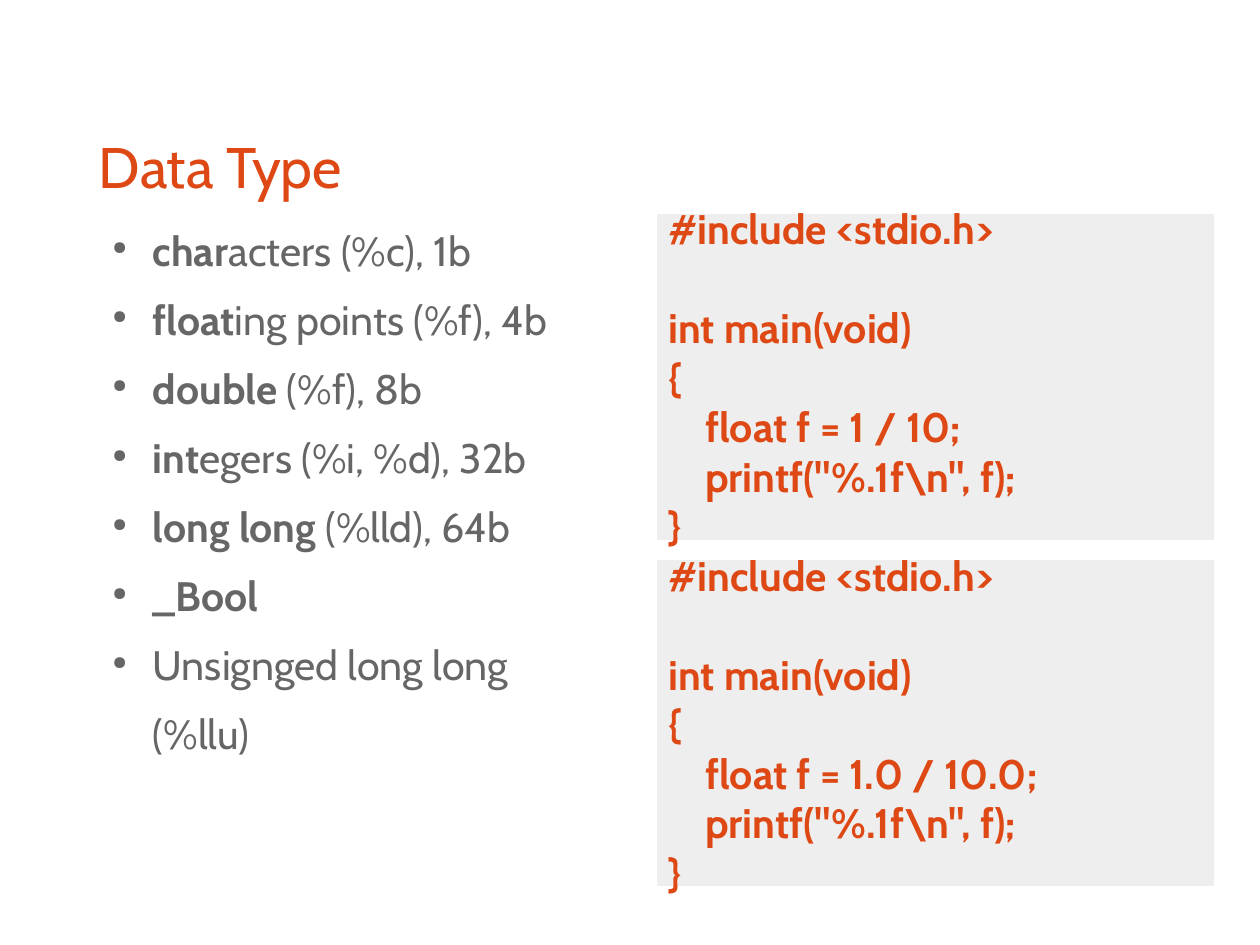
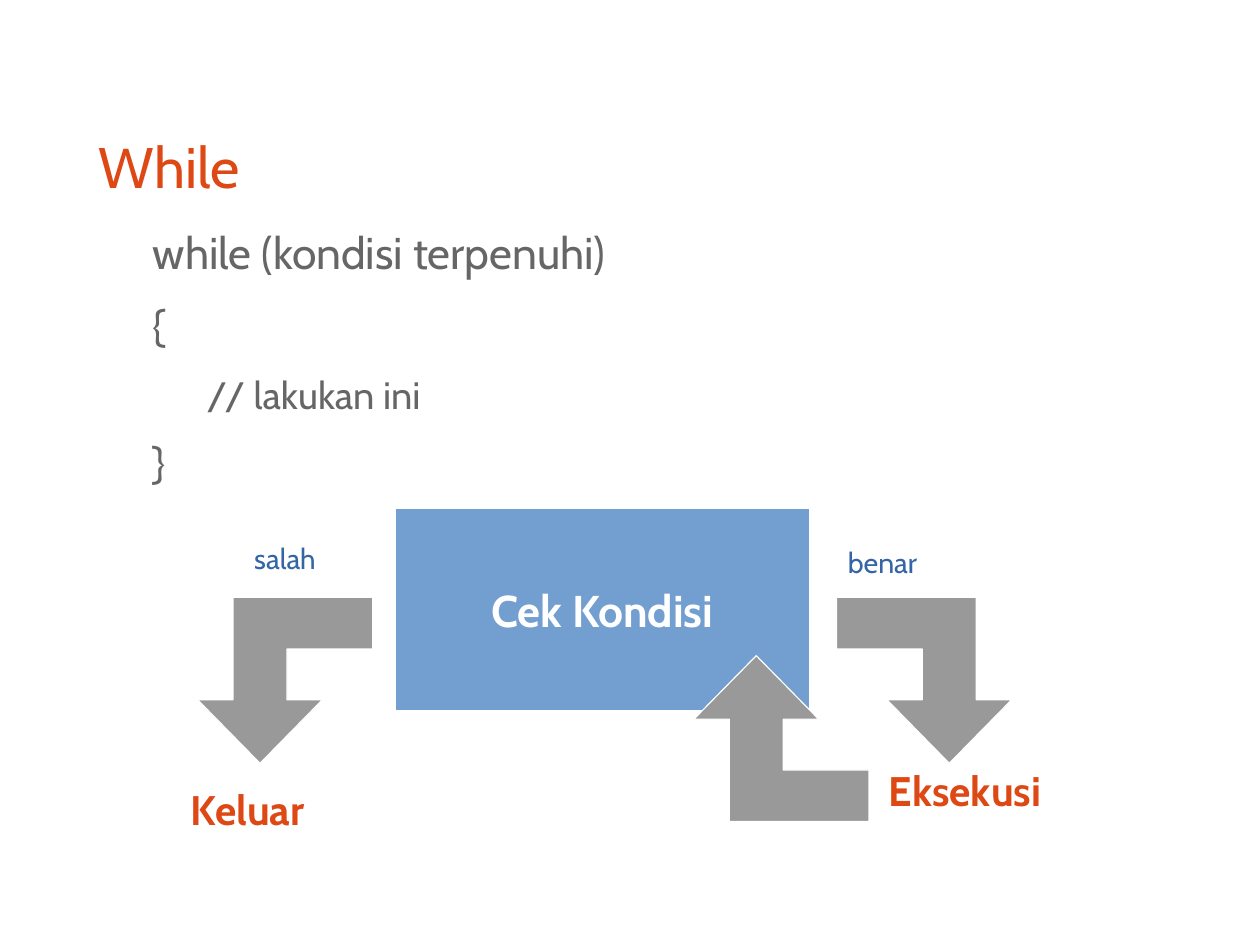
from lxml.etree import SubElement
from pptx import Presentation
from pptx.dml.color import RGBColor
from pptx.enum.shapes import MSO_SHAPE
from pptx.enum.text import MSO_ANCHOR as Anchor, PP_ALIGN as Align
from pptx.oxml.ns import qn
from pptx.util import Pt

FONT = "Cabin"
ORANGE = RGBColor(0xDD, 0x48, 0x14)
GRAY = RGBColor(0x66, 0x66, 0x66)
ARROW_GRAY = RGBColor(0x99, 0x99, 0x99)
PANEL_GRAY = RGBColor(0xEE, 0xEE, 0xEE)
BOX_BLUE = RGBColor(0x72, 0x9F, 0xCF)
LABEL_BLUE = RGBColor(0x34, 0x65, 0xA4)
WHITE = RGBColor(0xFF, 0xFF, 0xFF)

SLIDE_WIDTH = 793.7
SLIDE_HEIGHT = 595.28
LEFT = 62.3
BODY_WIDTH = 666
TEXT_INDENT = 34
BULLET_HANG = 25.5
CODE_SIZE = 26
CODE_LINE = 31.2
CODE_INDENT = 23.3

ARROW_OUTLINE = [(0, 0), (-39.3, -40), (-17, -40), (-17, -72), (-71, -72),
                 (-71, -104.5), (17, -104.5), (17, -40), (39.3, -40)]

TYPES = [("char", "acters (%c), 1b"), ("float", "ing points (%f), 4b"),
         ("double", " (%f), 8b"), ("int", "egers (%i, %d), 32b"),
         ("long long", " (%lld), 64b"), ("_Bool", ""),
         ("", "Unsignged long long")]


def style(paragraph, size, color, bold=False):
    for run in paragraph.runs:
        run.font.name = FONT
        run.font.size = Pt(size)
        run.font.color.rgb = color
        run.font.bold = bold


def set_margins(frame, horizontal, vertical):
    frame.margin_left = frame.margin_right = Pt(horizontal)
    frame.margin_top = frame.margin_bottom = Pt(vertical)
    frame.word_wrap = True


def add_frame(slide, left, top, width, height, horizontal=0, vertical=0):
    shape = slide.shapes.add_textbox(Pt(left), Pt(top), Pt(width), Pt(height))
    set_margins(shape.text_frame, horizontal, vertical)
    return shape.text_frame


def add_title(slide, text):
    frame = add_frame(slide, LEFT, 73.8, BODY_WIDTH, 60.5)
    frame.vertical_anchor = Anchor.MIDDLE
    frame.text = text
    style(frame.paragraphs[0], 36, ORANGE)


def add_body(slide):
    return add_frame(slide, LEFT, 141.7, BODY_WIDTH, 342.7)


def add_label(slide, text, left, top, width, height, size, color, bold=False):
    frame = add_frame(slide, left, top, width, height, 7.2, 3.6)
    frame.text = text
    style(frame.paragraphs[0], size, color, bold)


def paint(shape, color):
    shape.shadow.inherit = False
    shape.fill.solid()
    shape.fill.fore_color.rgb = color
    shape.line.color.rgb = WHITE
    shape.line.width = Pt(0)


def add_box(slide, left, top, width, height, color):
    shape = slide.shapes.add_shape(
        MSO_SHAPE.RECTANGLE, Pt(left), Pt(top), Pt(width), Pt(height))
    paint(shape, color)
    frame = shape.text_frame
    set_margins(frame, 7.2, 3.6)
    frame.vertical_anchor = Anchor.MIDDLE
    return frame


def set_indent(paragraph, margin, hang=0):
    properties = paragraph._p.get_or_add_pPr()
    properties.set("marL", str(Pt(margin)))
    properties.set("indent", str(-Pt(hang)))
    return properties


def add_bullet(paragraph):
    properties = set_indent(paragraph, TEXT_INDENT, BULLET_HANG)
    color = SubElement(properties, qn("a:buClr"))
    SubElement(color, qn("a:srgbClr"), val=str(GRAY))
    SubElement(properties, qn("a:buSzPct"), val="45000")
    SubElement(properties, qn("a:buChar"), char="●")


def add_type_list(slide):
    frame = add_body(slide)
    frame.text = "\n".join(keyword + rest for keyword, rest in TYPES)
    for paragraph, (keyword, rest) in zip(frame.paragraphs, TYPES):
        paragraph.text = keyword
        if rest:
            paragraph.add_run().text = rest
        style(paragraph, 25.9, GRAY)
        paragraph.runs[0].font.bold = bool(keyword)
        paragraph.space_after = Pt(12.4)
        add_bullet(paragraph)
    paragraph = frame.add_paragraph()
    paragraph.text = "(%llu)"
    paragraph.space_after = Pt(12.4)
    style(paragraph, 25.9, GRAY)
    set_indent(paragraph, TEXT_INDENT)


def add_code(slide, top, quotient):
    frame = add_box(slide, 413.8, top, 351.4, 205.9, PANEL_GRAY)
    frame.text = "\n".join([
        "#include <stdio.h>", "int main(void)", "{",
        f"float f = {quotient};", 'printf("%.1f\\n", f);', "}"])
    for paragraph in frame.paragraphs:
        paragraph.alignment = Align.LEFT
        style(paragraph, CODE_SIZE, ORANGE, True)
        if paragraph.text.endswith(";"):
            set_indent(paragraph, CODE_INDENT)
    frame.paragraphs[1].space_before = Pt(CODE_LINE)


def add_loop_syntax(slide):
    lines = [("while (kondisi terpenuhi)", 0), ("{", 0),
             ("// lakukan ini", 1), ("}", 0)]
    frame = add_body(slide)
    frame.text = "\n".join(text for text, level in lines)
    for paragraph, (text, level) in zip(frame.paragraphs, lines):
        paragraph.level = level
        paragraph.space_after = Pt(11.3 if level else 12.4)
        set_indent(paragraph, TEXT_INDENT * (level + 1))
        style(paragraph, 24 if level else 28, GRAY)


def add_bent_arrow(slide, tip_x, tip_y, flip_x=1, flip_y=1):
    points = [(Pt(tip_x + flip_x * x), Pt(tip_y + flip_y * y))
              for x, y in ARROW_OUTLINE]
    builder = slide.shapes.build_freeform(*points[0])
    builder.add_line_segments(points[1:], close=True)
    paint(builder.convert_to_shape(), ARROW_GRAY)


def add_data_types(slide):
    add_title(slide, "Data Type")
    add_type_list(slide)
    add_code(slide, 134.4, "1 / 10")
    add_code(slide, 352.6, "1.0 / 10.0")


def add_while_loop(slide):
    add_title(slide, "While")
    add_loop_syntax(slide)
    frame = add_box(slide, 249.1, 320.2, 260.6, 127.4, BOX_BLUE)
    frame.text = "Cek Kondisi"
    frame.paragraphs[0].alignment = Align.CENTER
    style(frame.paragraphs[0], 28, WHITE, True)
    add_bent_arrow(slide, 476.4, 413, -1, -1)
    add_bent_arrow(slide, 598, 480.8)
    add_bent_arrow(slide, 163.8, 480.8, -1)
    for text, left, top in [("Keluar", 113.2, 490.3), ("Eksekusi", 552.8, 478.8)]:
        add_label(slide, text, left, top, 164.2, 42.5, 26, ORANGE, True)
    for text, left, top in [("salah", 153.1, 337.4), ("benar", 527, 339.8)]:
        add_label(slide, text, left, top, 96.5, 31.7, 18, LABEL_BLUE)


def main():
    presentation = Presentation()
    presentation.slide_width = Pt(SLIDE_WIDTH)
    presentation.slide_height = Pt(SLIDE_HEIGHT)
    blank = presentation.slide_layouts[6]
    for fill_slide in (add_data_types, add_while_loop):
        fill_slide(presentation.slides.add_slide(blank))
    presentation.save("out.pptx")


if __name__ == "__main__":
    main()
